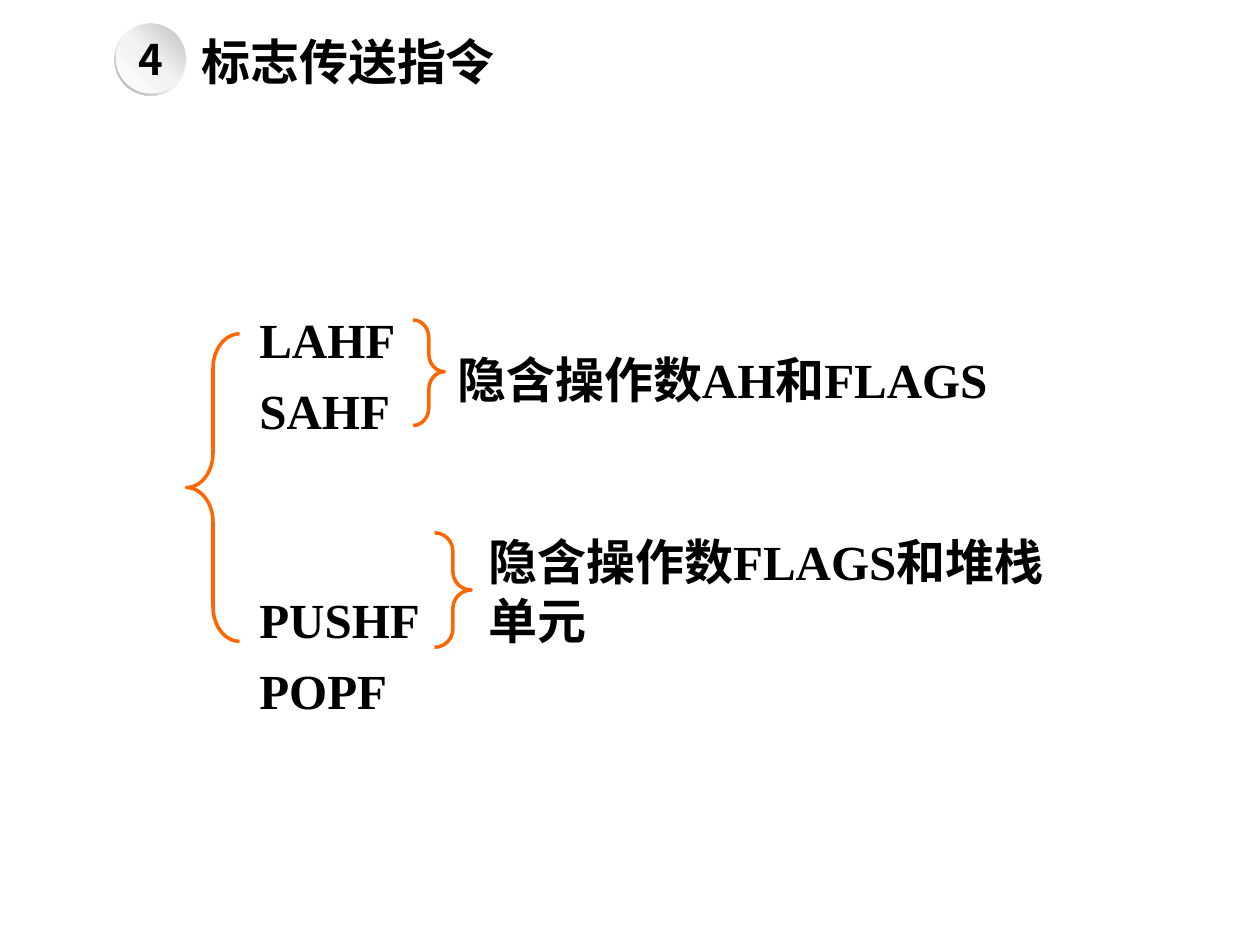
import pptx
import pptx.dml.color
import pptx.enum.shapes
import pptx.enum.text
import pptx.oxml.ns
import pptx.util
from lxml import etree

Cm, Pt = pptx.util.Cm, pptx.util.Pt
SHAPES = pptx.enum.shapes.MSO_SHAPE
BLACK, ORANGE = "000000", "FF6600"
SERIF = "Times New Roman"

BADGE = [
    (SHAPES.DONUT, (2.31, 0.46, 1.47), 135, [(0, "FFFFFF"), (55, "F2F2F2"), (100, "A6A6A6")]),
    (SHAPES.OVAL, (2.34, 0.48, 1.4), 315, [(0, "FFFFFF"), (51, "F2F2F2"), (100, "BFBFBF")]),
]
BADGE_NUMBER = "4"
BRACES = [
    (SHAPES.LEFT_BRACE, (3.76, 6.73, 1.07, 6.2), (0.65, 0.5)),
    (SHAPES.RIGHT_BRACE, (8.33, 6.45, 0.63, 2.13), (0.57, 0.49)),
    (SHAPES.RIGHT_BRACE, (8.76, 10.74, 0.74, 2.31), (0.5, 0.5)),
]
INSTRUCTIONS = [("LAHF", 0), ("SAHF", 7), ("PUSHF", 85.5), ("POPF", 7)]
TEXTS = [
    ([("标志传送指令", 0)], (3.81, 0.51, 6.53, 1.45), "Calibri", False),
    (INSTRUCTIONS, (4.98, 6.12, 6.55, 7.75), SERIF, True),
    ([("隐含操作数AH和FLAGS", 0)], (8.97, 6.93, 12.4, 1.45), SERIF, True),
    ([("隐含操作数FLAGS和堆栈单元", 0)], (9.6, 10.59, 12.6, 2.64), SERIF, True),
]


def color(value):
    return pptx.dml.color.RGBColor.from_string(value)


def style_font(paragraph, name, size):
    for run in paragraph.runs:
        run.font.name = name
        run.font.size = Pt(size)
        run.font.bold = True
        run.font.color.rgb = color(BLACK)


def set_gradient(shape, angle, stops):
    shape.fill.gradient()
    shape.fill.gradient_angle = 360 - angle
    qn = pptx.oxml.ns.qn
    stop_list = shape.element.spPr.find(".//" + qn("a:gsLst"))
    for old_stop in list(stop_list):
        stop_list.remove(old_stop)
    for position, value in stops:
        stop = etree.SubElement(stop_list, qn("a:gs"), pos=str(position * 1000))
        etree.SubElement(stop, qn("a:srgbClr"), val=value)


def add_badge(slide):
    for kind, (left, top, size), angle, stops in BADGE:
        shape = slide.shapes.add_shape(kind, Cm(left), Cm(top), Cm(size), Cm(size))
        shape.shadow.inherit = False
        shape.line.fill.background()
        set_gradient(shape, angle, stops)
        if kind == SHAPES.DONUT:
            shape.adjustments[0] = 0.05
    frame = shape.text_frame
    frame.margin_left = frame.margin_right = frame.margin_top = frame.margin_bottom = 0
    frame.vertical_anchor = pptx.enum.text.MSO_ANCHOR.MIDDLE
    frame.text = BADGE_NUMBER
    frame.paragraphs[0].alignment = pptx.enum.text.PP_ALIGN.CENTER
    style_font(frame.paragraphs[0], "Noto Sans CJK SC", 24)


def add_brace(slide, kind, box, adjustments):
    brace = slide.shapes.add_shape(kind, *map(Cm, box))
    brace.shadow.inherit = False
    brace.fill.background()
    brace.line.color.rgb = color(ORANGE)
    brace.line.width = Pt(2)
    for index, value in enumerate(adjustments):
        brace.adjustments[index] = value


def add_text(slide, lines, box, font, wrap):
    frame = slide.shapes.add_textbox(*map(Cm, box)).text_frame
    frame.word_wrap = wrap
    frame.text = "\n".join(text for text, gap in lines)
    for paragraph, (text, gap) in zip(frame.paragraphs, lines):
        if gap:
            paragraph.space_before = Pt(gap)
        style_font(paragraph, font, 28)


def main():
    presentation = pptx.Presentation()
    presentation.slide_width, presentation.slide_height = Cm(25.4), Cm(19.05)
    slide = presentation.slides.add_slide(presentation.slide_layouts[6])
    add_badge(slide)
    for text in TEXTS:
        add_text(slide, *text)
    for brace in BRACES:
        add_brace(slide, *brace)
    presentation.save("out.pptx")


if __name__ == "__main__":
    main()
